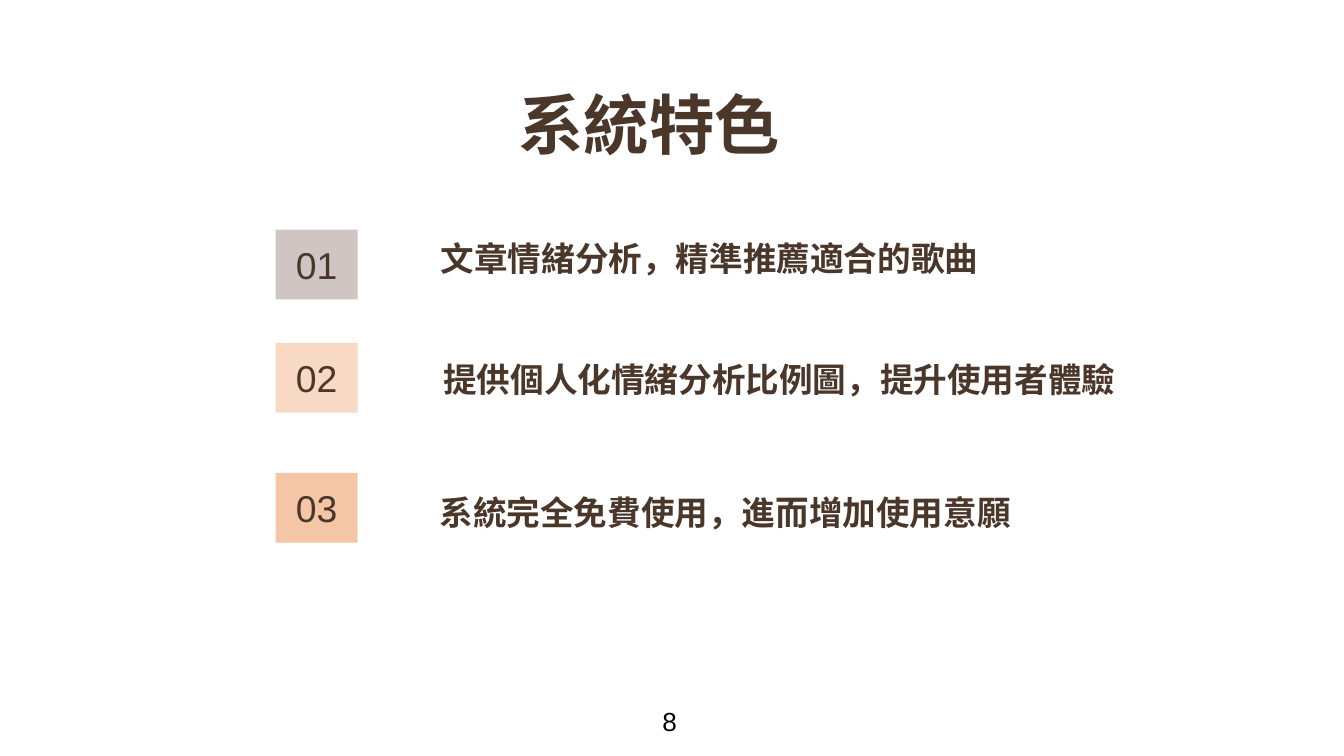
from lxml import etree
from pptx import Presentation
from pptx import util as u
from pptx.dml.color import RGBColor
from pptx.enum import shapes, text
from pptx.oxml.ns import qn

COLORS = {
    "brown": "4A372A",
    "black": "000000",
    "gray": "CFC6C3",
    "peach": "F8D9C3",
    "orange": "F5C6A6",
}
CJK = "Noto Sans CJK TC"
LEFT, CENTER, RIGHT = (text.PP_ALIGN.LEFT, text.PP_ALIGN.CENTER,
                       text.PP_ALIGN.RIGHT)
INSET = 0.25
BADGE_LEFT, BADGE_WIDTH, BADGE_HEIGHT = 5.21, 1.55, 1.32

# Number, badge fill, badge top, label, label box, label paragraph format
FEATURES = [
    ("01", "gray", 4.34, "文章情緒分析，精準推薦適合的歌曲",
     (6.65, 4.14, 12.09, 1.75), {"alignment": RIGHT, "line_spacing": 1.15}),
    ("02", "peach", 6.48, "提供個人化情緒分析比例圖，提升使用者體驗",
     (8.13, 6.53, 13.59, 1.75), {"alignment": LEFT}),
    ("03", "orange", 8.94, "系統完全免費使用，進而增加使用意願",
     (6.65, 8.94, 12.7, 1.75), {"alignment": RIGHT, "line_spacing": 1.15}),
]


def set_all(target, values):
    for name, value in values.items():
        setattr(target, name, value)


def write(shape, words, size, font="Arial", color="brown", bold=False,
          anchor=text.MSO_ANCHOR.TOP, inset_y=INSET, para_format=None):
    frame = shape.text_frame
    set_all(frame, {
        "word_wrap": True, "vertical_anchor": anchor,
        "margin_left": u.Cm(INSET), "margin_right": u.Cm(INSET),
        "margin_top": u.Cm(inset_y), "margin_bottom": u.Cm(inset_y),
    })
    para = frame.paragraphs[0]
    set_all(para, para_format or {})
    span = para.add_run()
    span.text = words
    set_all(span.font, {"name": font, "size": u.Pt(size), "bold": bold})
    span.font.color.rgb = RGBColor.from_string(COLORS[color])
    if font == CJK:
        # East Asian characters take their own typeface element
        latin = span.font._element.find(qn("a:latin"))
        east_asian = etree.Element(qn("a:ea"), typeface=font)
        latin.addnext(east_asian)


def add_text(page, box, words, size, **options):
    shape = page.shapes.add_textbox(*map(u.Cm, box))
    write(shape, words, size, **options)


def add_badge(page, box, number, fill):
    badge = page.shapes.add_shape(shapes.MSO_SHAPE.RECTANGLE, *map(u.Cm, box))
    badge.shadow.inherit = False
    badge.fill.solid()
    badge.fill.fore_color.rgb = RGBColor.from_string(COLORS[fill])
    badge.line.fill.background()
    write(badge, number, 20, anchor=text.MSO_ANCHOR.MIDDLE,
          para_format={"alignment": CENTER})


def add_title(page, box):
    add_text(page, box, "系統特色", 35, font=CJK, bold=True,
             para_format={"alignment": CENTER})


def add_feature(page, badge_box, number, fill, label, label_box, para_format):
    add_badge(page, badge_box, number, fill)
    add_text(page, label_box, label, 18, font=CJK, bold=True,
             para_format=para_format)


def add_page_number(page, box):
    add_text(page, box, "8", 14, color="black", inset_y=0.13)


def main():
    deck = Presentation()
    set_all(deck, {"slide_width": u.Cm(25.4), "slide_height": u.Cm(14.29)})
    page = deck.slides.add_slide(deck.slide_layouts[6])

    add_title(page, (1.55, 1.35, 21.44, 1.75))

    # Numbered features
    for number, fill, top, label, label_box, para_format in FEATURES:
        badge_box = (BADGE_LEFT, top, BADGE_WIDTH, BADGE_HEIGHT)
        add_feature(page, badge_box, number, fill, label, label_box,
                    para_format)

    add_page_number(page, (12.27, 13.21, 0.61, 0.86))
    deck.save("out.pptx")


if __name__ == "__main__":
    main()
